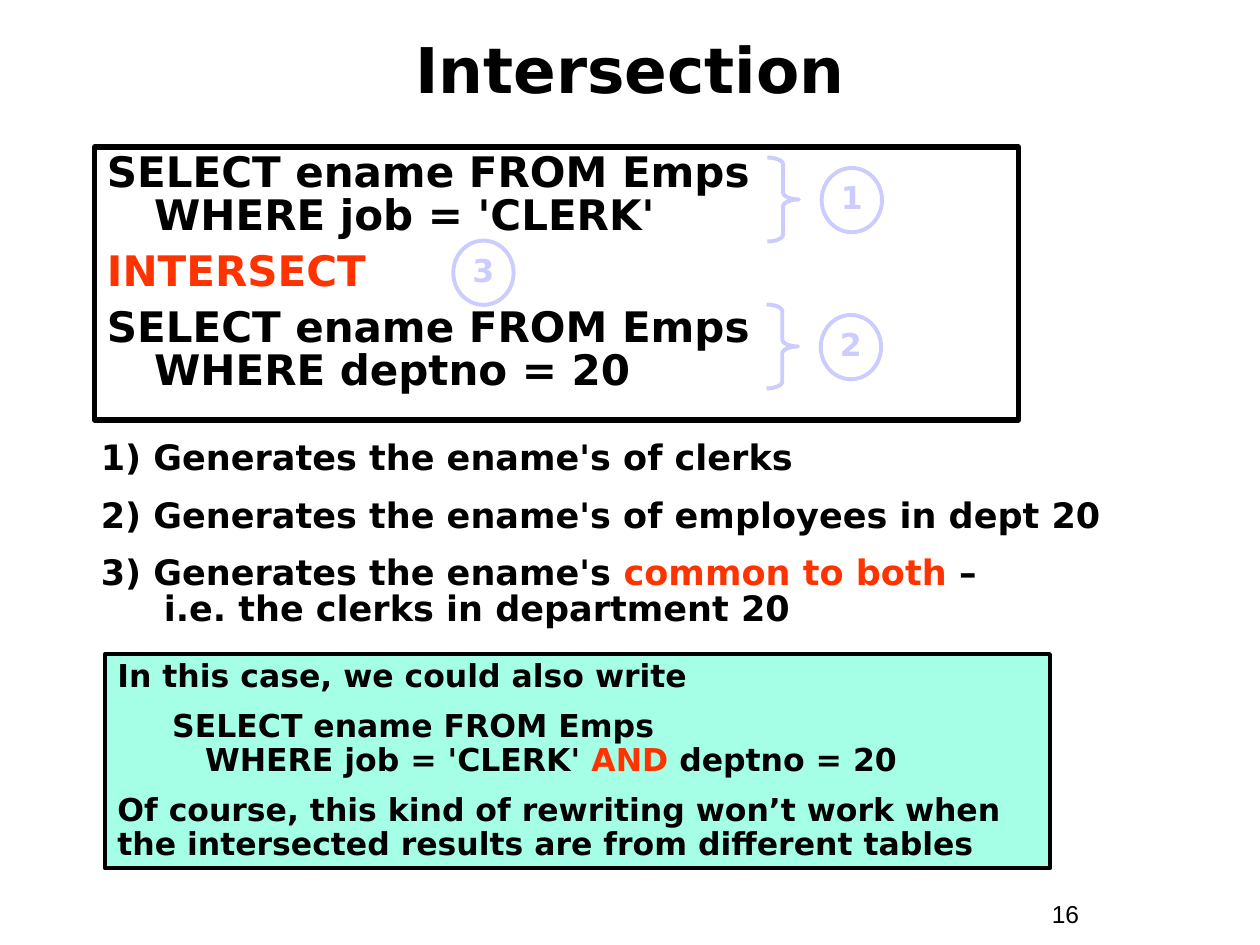
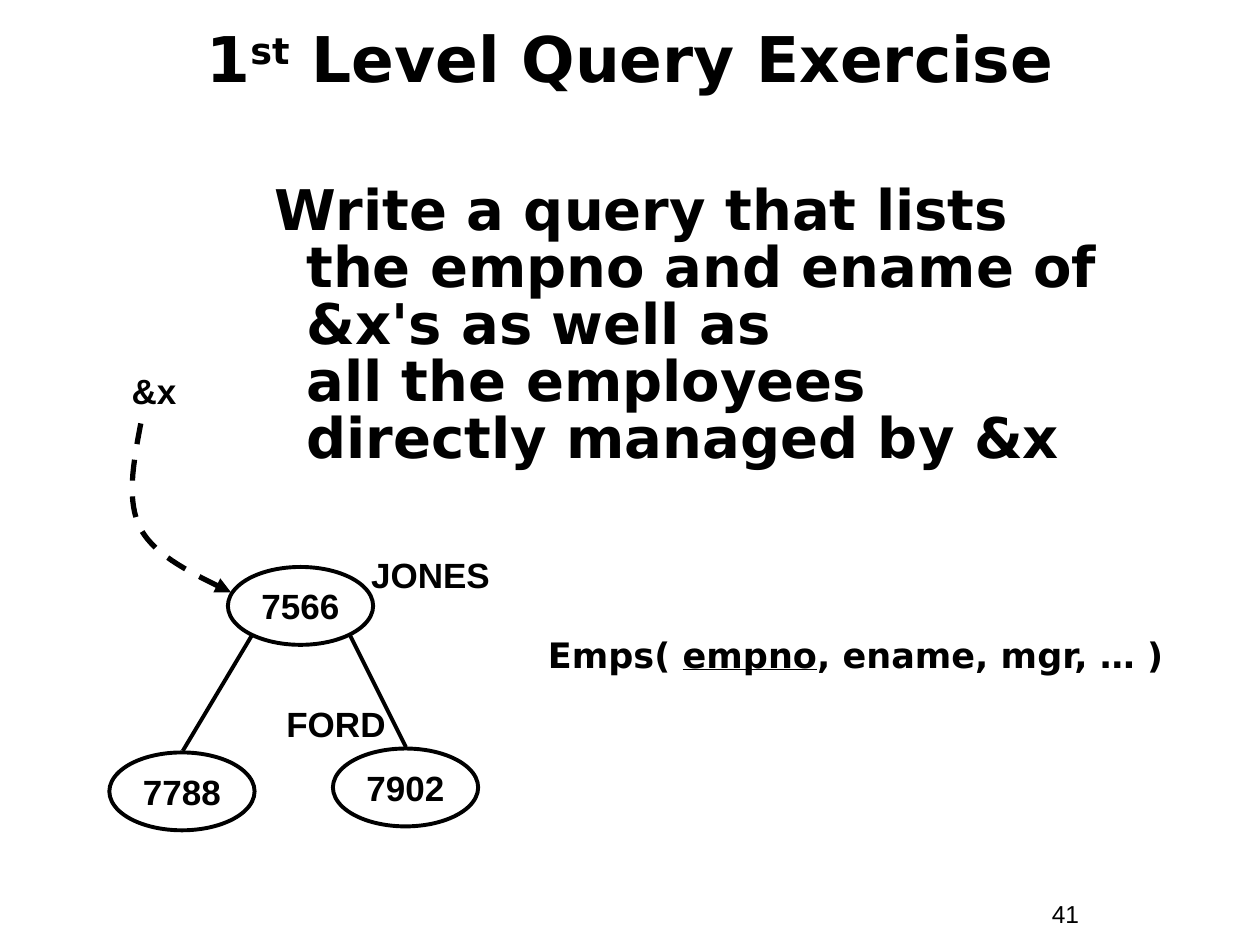
"""Build two slides about SQL set queries."""
from dataclasses import dataclass
from typing import Optional

from lxml import etree
from pptx import Presentation
from pptx import util as u
from pptx.dml.color import RGBColor
from pptx.enum import dml, shapes, text
from pptx.oxml import ns

BLACK, WHITE, RED, LILAC, MINT = "000000", "FFFFFF", "FF3300", "CCCCFF", "A5FFE7"
SANS, ARIAL = "DejaVu Sans", "Arial"
LEFT, CENTER = text.PP_ALIGN.LEFT, text.PP_ALIGN.CENTER


@dataclass(frozen=True)
class Area:
    left: float
    top: float
    width: float
    height: float

    def lengths(self) -> tuple:
        return tuple(u.Pt(v) for v in (self.left, self.top, self.width, self.height))


@dataclass(frozen=True)
class Style:
    size: float
    face: str = SANS
    bold: bool = True
    color: str = BLACK
    align: text.PP_ALIGN = LEFT
    leading: float = 1.0
    before: float = 0
    hanging: float = 0


@dataclass(frozen=True)
class Span:
    words: str
    color: Optional[str] = None
    underline: bool = False
    raised: bool = False


@dataclass(frozen=True)
class Frame:
    color: str
    weight: float
    fill: Optional[str] = None


@dataclass(frozen=True)
class Node:
    number: str
    left: float
    top: float


@dataclass(frozen=True)
class Label:
    words: str
    area: Area


TITLE = Style(36, align=CENTER)
PAGE_NUMBER = Style(14, ARIAL, bold=False)
SQL = Style(24, leading=0.85, before=7.5, hanging=27)
STEPS = Style(20, leading=0.85, before=12.5, hanging=36)
REMARK = Style(18, leading=0.9, before=9)
BADGE = Style(18, color=LILAC, align=CENTER, leading=0.85)
TASK = Style(32, leading=0.85, hanging=18)
TREE = Style(20, ARIAL, align=CENTER)
SCHEMA = Style(20, leading=0.85, hanging=27)


def rgb(color: str) -> RGBColor:
    return RGBColor.from_string(color)


def write(frame, paras: list, style: Style) -> None:
    """Fill a text frame; each paragraph is a list of spans."""
    frame.auto_size = text.MSO_AUTO_SIZE.NONE
    for index, spans in enumerate(paras):
        para = frame.add_paragraph() if index else frame.paragraphs[0]
        para.alignment, para.line_spacing = style.align, style.leading
        para.space_before = u.Pt(style.before if index else 0)
        if style.hanging:
            props = para._p.get_or_add_pPr()
            props.set("marL", str(u.Pt(style.hanging)))
            props.set("indent", str(-u.Pt(style.hanging)))
        font = para.font
        font.name, font.size, font.bold = style.face, u.Pt(style.size), style.bold
        font.color.rgb = rgb(style.color)
        for span in spans:
            add_span(para, span)


def add_span(para, span: Span) -> None:
    for index, line in enumerate(span.words.split("\n")):
        if index:
            para.add_line_break()
        run = para.add_run()
        run.text = line
        if span.color:
            run.font.color.rgb = rgb(span.color)
        if span.underline:
            run.font.underline = True
        if span.raised:
            run._r.get_or_add_rPr().set("baseline", "30000")


def outline(shape, frame: Frame) -> None:
    shape.shadow.inherit = False
    shape.line.color.rgb, shape.line.width = rgb(frame.color), u.Pt(frame.weight)
    if frame.fill:
        shape.fill.solid()
        shape.fill.fore_color.rgb = rgb(frame.fill)
    else:
        shape.fill.background()


def add_text(page, area: Area, paras: list, style: Style) -> None:
    box = page.shapes.add_textbox(*area.lengths())
    box.text_frame.word_wrap = True
    write(box.text_frame, paras, style)


def add_panel(page, area: Area, paras: list, style: Style, frame: Frame) -> None:
    panel = page.shapes.add_shape(shapes.MSO_SHAPE.RECTANGLE, *area.lengths())
    outline(panel, frame)
    panel.text_frame.vertical_anchor = text.MSO_ANCHOR.TOP
    write(panel.text_frame, paras, style)


def add_oval(page, area: Area, words: str, style: Style) -> None:
    oval = page.shapes.add_shape(shapes.MSO_SHAPE.OVAL, *area.lengths())
    outline(oval, Frame(style.color, 2.25))
    oval.text_frame.word_wrap = False
    oval.text_frame.vertical_anchor = text.MSO_ANCHOR.MIDDLE
    write(oval.text_frame, [[Span(words)]], style)


def add_badge(page, left: float, top: float, number: str) -> None:
    add_oval(page, Area(left, top, 34.5, 36.75), number, BADGE)


def add_braced_badge(page, left: float, top: float, number: str) -> None:
    brace = page.shapes.add_shape(shapes.MSO_SHAPE.RIGHT_BRACE,
                                  *Area(left, top, 18, 48).lengths())
    brace.adjustments[0] = 0.22
    outline(brace, Frame(LILAC, 2.25))
    add_badge(page, left + 31, top + 6, number)


def add_line(page, start: tuple, end: tuple) -> None:
    line = page.shapes.add_connector(shapes.MSO_CONNECTOR.STRAIGHT,
                                     *(u.Pt(v) for v in start + end))
    line.line.color.rgb, line.line.width = rgb(BLACK), u.Pt(2.25)
    etree.SubElement(line._element.spPr, ns.qn("a:effectLst"))


def bezier(points: list, steps: int = 16) -> list:
    """Return points along a cubic curve, without its start."""
    def at(t: float, axis: int) -> float:
        a, b, c, d = (point[axis] for point in points)
        s = 1 - t
        return s**3 * a + 3 * s * s * t * b + 3 * s * t * t * c + t**3 * d
    return [(at(i / steps, 0), at(i / steps, 1)) for i in range(1, steps + 1)]


def add_dashed_arrow(page, points: list) -> None:
    curve = bezier(points[:4]) + bezier(points[3:])
    builder = page.shapes.build_freeform(u.Pt(points[0][0]), u.Pt(points[0][1]))
    builder.add_line_segments([(u.Pt(x), u.Pt(y)) for x, y in curve], close=False)
    arrow = builder.convert_to_shape()
    outline(arrow, Frame(BLACK, 3))
    arrow.line.dash_style = dml.MSO_LINE.DASH
    etree.SubElement(arrow.line._get_or_add_ln(), ns.qn("a:tailEnd"), type="triangle")


def new_page(deck, title_spans: list, title_top: float, number: str):
    page = deck.slides.add_slide(deck.slide_layouts[5])
    page.background.fill.solid()
    page.background.fill.fore_color.rgb = rgb(WHITE)
    title = page.shapes.title
    title.left, title.top, title.width, title.height = Area(24, title_top, 672, 54).lengths()
    title.text_frame.vertical_anchor = text.MSO_ANCHOR.MIDDLE
    write(title.text_frame, [title_spans], TITLE)
    add_text(page, Area(594, 510, 66, 24), [[Span(number)]], PAGE_NUMBER)
    return page


def build_intersection(deck) -> None:
    page = new_page(deck, [Span("Intersection")], 12, "16")
    add_panel(page, Area(54, 84, 528, 156), [
        [Span("SELECT ename FROM Emps\nWHERE job = 'CLERK'")],
        [Span("INTERSECT", RED)],
        [Span("SELECT ename FROM Emps\nWHERE deptno = 20")],
    ], SQL, Frame(BLACK, 3))
    add_panel(page, Area(60, 373.75, 540, 122.5), [
        [Span("In this case, we could also write")],
        [Span("     SELECT ename FROM Emps\n        WHERE job = 'CLERK' "),
         Span("AND", RED), Span(" deptno = 20")],
        [Span("Of course, this kind of rewriting won’t work when "
              "the intersected results are from different tables")],
    ], REMARK, Frame(BLACK, 2.25, MINT))
    add_text(page, Area(50.5, 249, 594, 114), [
        [Span("1) Generates the ename's of clerks")],
        [Span("2) Generates the ename's of employees in dept 20")],
        [Span("3) Generates the ename's "), Span("common to both", RED),
         Span(" –\ni.e. the clerks in department 20")],
    ], STEPS)
    add_braced_badge(page, 438.5, 90, "1")
    add_braced_badge(page, 438, 174, "2")
    add_badge(page, 259, 137.5, "3")


def build_exercise(deck) -> None:
    page = new_page(deck, [Span("1"), Span("st", raised=True),
                           Span(" Level Query Exercise")], 6, "41")
    add_text(page, Area(150, 102, 504, 174), [[Span(
        "Write a query that lists\nthe empno and ename of\n&x's as well as\n"
        "all the employees\ndirectly managed by &x")]], TASK)
    for node in (Node("7566", 130.25, 324), Node("7788", 62.5, 430),
                 Node("7902", 190.25, 427.75)):
        add_oval(page, Area(node.left, node.top, 83, 44.5), node.number, TREE)
    add_line(page, (104.5, 429), (144, 363))
    add_line(page, (200, 363), (232, 427))
    for label in (Label("JONES", Area(204, 312.5, 84, 31.5)),
                  Label("FORD", Area(150, 398, 84, 31.5)),
                  Label("&x", Area(67, 207.5, 42, 31.5))):
        add_text(page, label.area, [[Span(label.words)]], TREE)
    add_dashed_arrow(page, [(80.5, 242), (76.25, 264.25), (72, 286.5), (80.5, 302.5),
                            (89.25, 318.25), (111, 328.25), (132, 338.5)])
    add_text(page, Area(306, 362, 378, 28), [[
        Span("Emps( "), Span("empno", underline=True), Span(", ename, mgr, … )")]], SCHEMA)


def main() -> None:
    deck = Presentation()
    deck.slide_width, deck.slide_height = u.Pt(720), u.Pt(540)
    build_intersection(deck)
    build_exercise(deck)
    deck.save("out.pptx")


if __name__ == "__main__":
    main()
